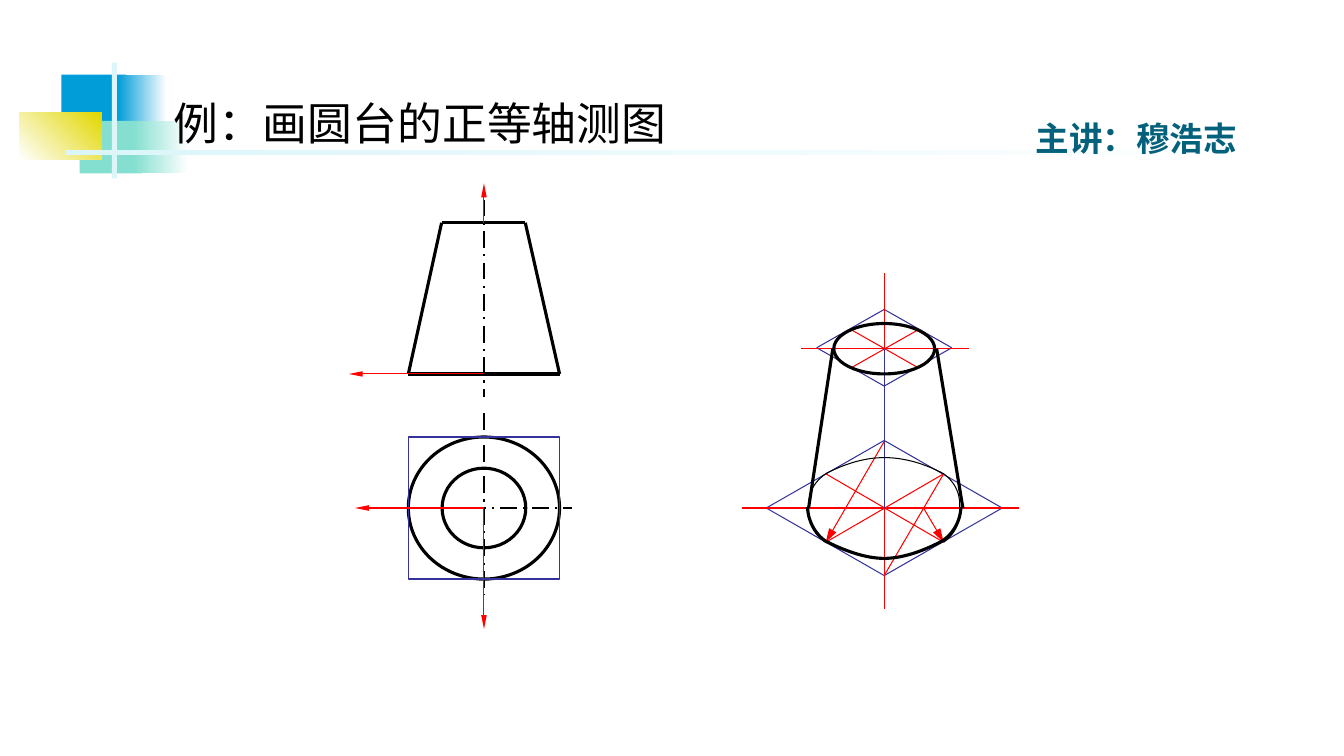
from dataclasses import dataclass

from lxml import etree
from pptx import Presentation
from pptx.dml.color import RGBColor
from pptx.enum.dml import MSO_LINE
from pptx.enum.shapes import MSO_CONNECTOR, MSO_SHAPE
from pptx.enum.text import MSO_ANCHOR, PP_ALIGN
from pptx.oxml.ns import qn
from pptx.util import Inches, Pt

RECT, OVAL = MSO_SHAPE.RECTANGLE, MSO_SHAPE.OVAL
STRAIGHT = MSO_CONNECTOR.STRAIGHT
DASH_DOT = MSO_LINE.LONG_DASH_DOT
LEFT, CENTER = PP_ALIGN.LEFT, PP_ALIGN.CENTER
TOP, MIDDLE = MSO_ANCHOR.TOP, MSO_ANCHOR.MIDDLE


@dataclass(frozen=True)
class Theme:
    """Colours, fonts, type sizes and line widths of the slide."""
    black: str = "000000"
    red: str = "FF0000"
    violet: str = "333399"
    white: str = "FFFFFF"
    blue: str = "009DD9"
    mint: str = "85DFD0"
    yellow: str = "E2D700"
    pale: str = "DBF5F9"
    teal: str = "04617B"
    latin: str = "Arial"
    chinese: str = "Noto Sans CJK SC"
    title_size: int = 32
    presenter_size: int = 24
    thin: float = 0.75
    frame: float = 1
    axis: float = 1.5
    thick: float = 2.25


THEME = Theme()


def rgb(value):
    """Turn a hex value into a colour."""
    return RGBColor.from_string(value)


def add_block(slide, left, top, width, height, colors, angle=0):
    """Add a decorative block with a plain or two-colour fill."""
    block = slide.shapes.add_shape(RECT, Inches(left), Inches(top), Inches(width), Inches(height))
    block.shadow.inherit = False
    block.line.fill.background()
    if len(colors) == 1:
        block.fill.solid()
        block.fill.fore_color.rgb = rgb(colors[0])
        return
    block.fill.gradient()
    block.fill.gradient_angle = angle
    for stop, color, position in zip(block.fill.gradient_stops, colors, (0, 1)):
        stop.color.rgb = rgb(color)
        stop.position = position


def add_outline(slide, kind, center, size, color, width):
    """Add an unfilled preset shape around a centre."""
    (x, y), (w, h) = center, size
    outline = slide.shapes.add_shape(kind, Inches(x - w / 2), Inches(y - h / 2), Inches(w), Inches(h))
    style_outline(outline, color, width)


def style_outline(outline, color, width):
    """Leave only the line of a shape visible."""
    outline.shadow.inherit = False
    outline.fill.background()
    outline.line.color.rgb = rgb(color)
    outline.line.width = Pt(width)


def add_line(slide, start, end, color, width=THEME.thin, dash=None, arrow=None):
    """Add a straight line; arrow names the width of a long head at its end."""
    edge = slide.shapes.add_connector(STRAIGHT, *(Inches(v) for v in (*start, *end)))
    edge.line.color.rgb = rgb(color)
    edge.line.width = Pt(width)
    if dash:
        edge.line.dash_style = dash
    properties = edge._element.spPr
    if arrow:
        etree.SubElement(properties.find(qn("a:ln")), qn("a:tailEnd"), type="triangle", w=arrow, len="lg")
    etree.SubElement(properties, qn("a:effectLst"))


def bezier(p0, p1, p2, p3, steps=16):
    """Return the points of a cubic curve after its start."""
    points = []
    for step in range(1, steps + 1):
        t = step / steps
        weights = ((1 - t) ** 3, 3 * t * (1 - t) ** 2, 3 * t * t * (1 - t), t ** 3)
        points.append(tuple(sum(w * p[axis] for w, p in zip(weights, (p0, p1, p2, p3))) for axis in (0, 1)))
    return points


def add_curve(slide, points, width):
    """Add an open black curve through groups of three points after the start."""
    path = [points[0]]
    for i in range(0, len(points) - 1, 3):
        path += bezier(*points[i:i + 4])
    path = [(Inches(x), Inches(y)) for x, y in path]
    builder = slide.shapes.build_freeform(*path[0], scale=1.0)
    builder.add_line_segments(path[1:], close=False)
    style_outline(builder.convert_to_shape(), THEME.black, width)


def add_rhombus(slide, center, half_width, half_height):
    """Add the four tangent lines of an isometric circle."""
    x, y = center
    corners = [(x, y - half_height), (x + half_width, y), (x, y + half_height), (x - half_width, y)]
    for start, end in zip(corners, corners[1:] + corners[:1]):
        add_line(slide, start, end, THEME.violet)


def add_text(slide, text, *, at, size, color, font, bold=False, align=LEFT, anchor=TOP):
    """Add a text box with one formatted line."""
    box = slide.shapes.add_textbox(*(Inches(v) for v in at))
    frame = box.text_frame
    frame.word_wrap = True
    frame.vertical_anchor = anchor
    paragraph = frame.paragraphs[0]
    paragraph.alignment = align
    run = paragraph.add_run()
    run.text = text
    run.font.size = Pt(size)
    run.font.bold = bold
    run.font.color.rgb = rgb(color)
    run.font.name = font
    etree.SubElement(run._r.get_or_add_rPr(), qn("a:ea"), typeface=THEME.chinese)


def add_header(slide):
    """Draw the header decoration, the presenter and the title."""
    t = THEME
    add_block(slide, 0.61, 0.74, 0.64, 0.52, [t.blue])
    add_block(slide, 1.17, 0.74, 0.48, 0.52, [t.blue, t.white])
    add_block(slide, 0.79, 1.2, 0.62, 0.52, [t.mint])
    add_block(slide, 1.33, 1.2, 0.54, 0.52, [t.mint, t.white])
    add_block(slide, 0.19, 1.12, 0.82, 0.46, [t.white, t.yellow], angle=45)
    add_block(slide, 1.11, 0.62, 0.05, 1.15, [t.pale])
    add_block(slide, 0.65, 1.49, 12, 0.05, [t.pale, t.white])
    add_text(slide, "主讲：穆浩志", at=(9.54, 1.11, 3.46, 0.51), size=t.presenter_size,
             color=t.teal, font=t.chinese, bold=True, align=CENTER, anchor=MIDDLE)
    add_text(slide, "例：画圆台的正等轴测图", at=(1.62, 0.9, 5.99, 0.63), size=t.title_size,
             color=t.black, font=t.latin)


def add_views(slide):
    """Draw the front and top views with their axes."""
    t = THEME
    x, top, bottom, plan_y = 4.8, 2.21, 3.71, 5.04
    plan = (x, plan_y)
    for start, end in (((x, 1.98), (x, 3.94)), ((3.71, plan_y), (5.67, plan_y)), ((x, 4.1), (x, 5.9))):
        add_line(slide, start, end, t.black, t.axis, dash=DASH_DOT)
    corners = [(4.38, top), (5.21, top), (5.55, bottom), (4.05, bottom)]
    for start, end in zip(corners, corners[1:] + corners[:1]):
        add_line(slide, start, end, t.black, t.thick)
    for size in ((1.5, 1.41), (0.83, 0.79)):
        add_outline(slide, OVAL, plan, size, t.black, t.thick)
    add_outline(slide, RECT, plan, (1.5, 1.41), t.violet, t.frame)
    for start, end in ((plan, (x, 6.24)), ((x, top), (x, 1.82)),
                       ((x, bottom), (3.46, bottom)), (plan, (3.52, plan_y))):
        add_line(slide, start, end, t.red, arrow="sm")


def add_isometric(slide):
    """Draw the isometric frustum with its construction lines."""
    t = THEME
    x, top_y, base_y = 8.77, 3.46, 5.04
    west, east, north, south = 8.19, 9.36, 4.7, 5.38
    add_rhombus(slide, (x, base_y), 1.17, 0.67)
    add_rhombus(slide, (x, top_y - 0.01), 0.67, 0.38)
    red_lines = [((west, north), (east, south)), ((east, north), (west, south)),
                 ((x, 2.71), (x, 6.04)), ((7.36, base_y), (10.11, base_y)),
                 ((9.11, 3.27), (8.44, 3.65)), ((8.44, 3.27), (9.11, 3.65)),
                 ((7.94, top_y), (9.61, top_y)), ((x, 5.71), (east, north))]
    for start, end in red_lines:
        add_line(slide, start, end, t.red)
    add_line(slide, (x, top_y), (x, base_y), t.violet)
    for start, end in (((x, 4.38), (west, south)), ((9.16, base_y), (east, south))):
        add_line(slide, start, end, t.red, arrow="med")
    add_curve(slide, [(west, north), (8.38, 4.6), (8.58, 4.54), (x, 4.54),
                      (8.97, 4.54), (9.17, 4.6), (east, north)], t.thin)
    for corner, side in ((west, 8.02), (east, 9.52)):
        add_curve(slide, [(corner, south), (side, 5.26), (side, 5.12), (side, base_y),
                          (side, 4.96), (side, 4.82), (corner, north)], t.thin)
    add_curve(slide, [(8.01, 5.03), (8.01, 5.14), (8.07, 5.29), (west, 5.37),
                      (8.37, 5.46), (8.58, 5.54), (x, 5.54),
                      (8.96, 5.54), (9.17, 5.46), (9.34, 5.37),
                      (9.47, 5.29), (9.53, 5.14), (9.53, 5.03)], t.thick)
    add_outline(slide, OVAL, (x, top_y), (1, 0.5), t.black, t.thick)
    for start, end in (((8.26, top_y), (8.02, base_y)), ((9.29, top_y), (9.55, base_y))):
        add_line(slide, start, end, t.black, t.thick)


def main():
    """Build and save the slide."""
    deck = Presentation()
    deck.slide_width, deck.slide_height = Inches(13.33), Inches(7.5)
    slide = deck.slides.add_slide(deck.slide_layouts[6])
    add_header(slide)
    add_views(slide)
    add_isometric(slide)
    deck.save("out.pptx")


if __name__ == "__main__":
    main()
